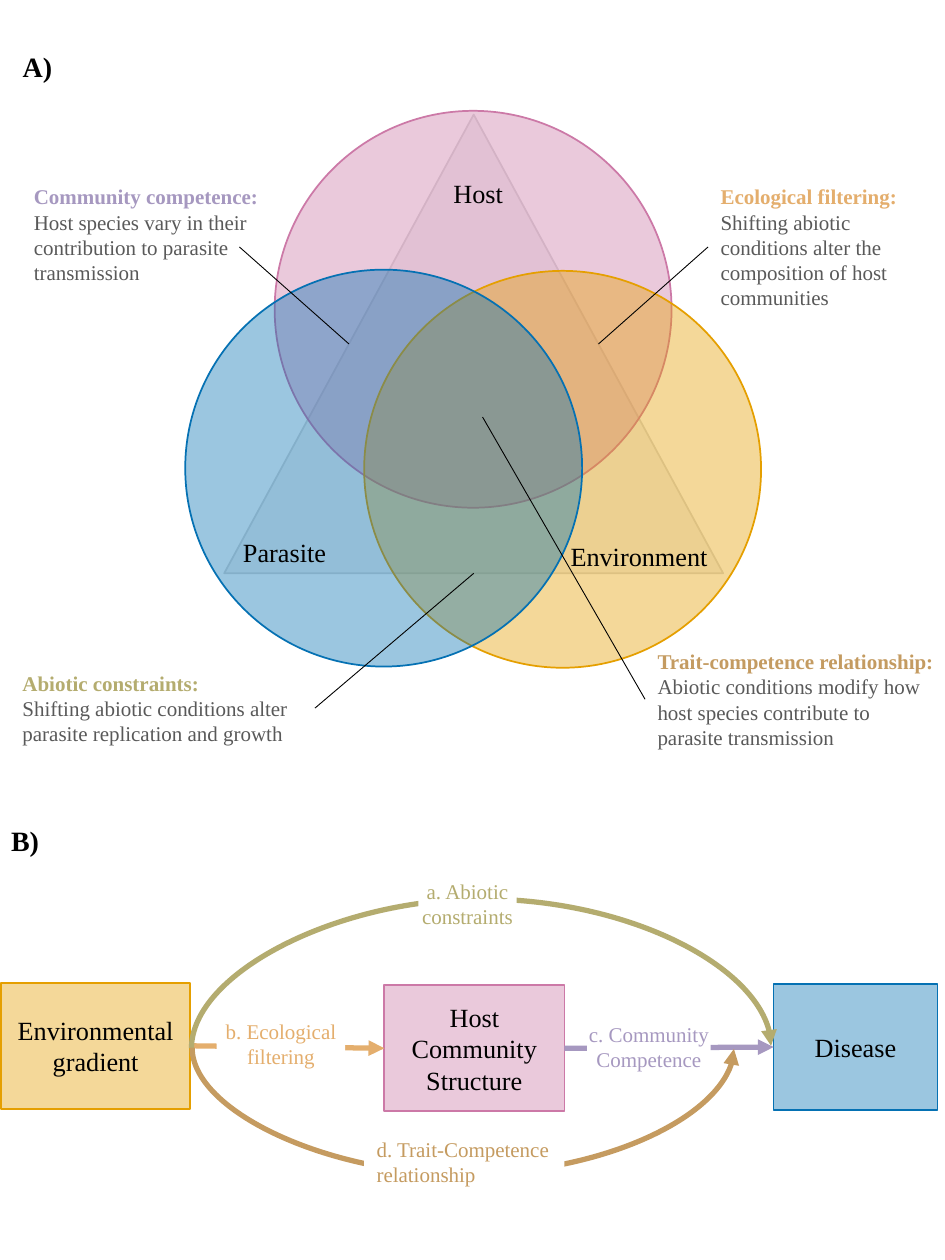
import pptx
import pptx.util
import pptx.dml.color
import pptx.enum.shapes
import pptx.enum.text
import pptx.oxml
import pptx.oxml.ns

Inches = pptx.util.Inches
SHAPES = pptx.enum.shapes.MSO_SHAPE
CONNECTORS = pptx.enum.shapes.MSO_CONNECTOR
ALIGN = pptx.enum.text.PP_ALIGN
ANCHOR = pptx.enum.text.MSO_ANCHOR
AUTO_SIZE = pptx.enum.text.MSO_AUTO_SIZE

FONT = "Times New Roman"
BLACK, GRAY, WHITE = "000000", "595959", "FFFFFF"
HOST, PARASITE, ENVIRONMENT = "CC79A7", "0571B3", "E59F00"
ABIOTIC, FILTERING, COMPETENCE = "B4AC6F", "E4AE6D", "A698C0"
TRAIT, TRAIT_ARC = "C49B61", "C59B60"


def rgb(color):
    return pptx.dml.color.RGBColor.from_string(color)


def add_xml(parent, tag, **attributes):
    child = pptx.oxml.parse_xml(f"<a:{tag} {pptx.oxml.ns.nsdecls('a')}/>")
    for key, value in attributes.items():
        child.set(key, str(value))
    parent.append(child)
    return child


def add_run(paragraph, text, size, color, bold=False):
    run = paragraph.add_run()
    run.text = text
    run.font.name = FONT
    run.font.size = pptx.util.Pt(size)
    run.font.bold = bold
    run.font.color.rgb = rgb(color)


def add_area(slide, kind, box, color, outline=None, opacity=100):
    area = slide.shapes.add_shape(kind, *map(Inches, box))
    area.shadow.inherit = False
    area.fill.solid()
    area.fill.fore_color.rgb = rgb(color)
    if opacity < 100:
        fill_color = area.fill._xPr.find(".//" + pptx.oxml.ns.qn("a:srgbClr"))
        add_xml(fill_color, "alpha", val=opacity * 1000)
    if outline:
        area.line.color.rgb = rgb(outline)
        area.line.width = pptx.util.Pt(1)
    else:
        area.line.fill.background()
    return area


def add_process(slide, box, color, text):
    process = add_area(slide, SHAPES.FLOWCHART_PROCESS, box, color, color, 40)
    frame = process.text_frame
    frame.word_wrap = True
    frame.vertical_anchor = ANCHOR.MIDDLE
    frame.paragraphs[0].alignment = ALIGN.CENTER
    add_run(frame.paragraphs[0], text, 15, BLACK)
    return process


def add_path_label(slide, box, color, text, side=0, align=ALIGN.CENTER):
    label = add_area(slide, SHAPES.RECTANGLE, box, WHITE)
    frame = label.text_frame
    frame.word_wrap = True
    frame.auto_size = AUTO_SIZE.SHAPE_TO_FIT_TEXT
    frame.vertical_anchor = ANCHOR.TOP
    frame.margin_left = frame.margin_right = Inches(side)
    frame.margin_top = 0
    frame.paragraphs[0].alignment = align
    add_run(frame.paragraphs[0], text, 12, color)


def add_text_box(slide, box, wrap=True):
    frame = slide.shapes.add_textbox(*map(Inches, box)).text_frame
    frame.word_wrap = wrap
    frame.auto_size = AUTO_SIZE.SHAPE_TO_FIT_TEXT
    return frame


def add_label(slide, box, text, size=15, bold=False, wrap=False):
    add_run(add_text_box(slide, box, wrap).paragraphs[0], text, size, BLACK, bold)


def add_callout(slide, box, color, heading, detail, inline=False):
    frame = add_text_box(slide, box)
    add_run(frame.paragraphs[0], heading, 12, color, True)
    paragraph = frame.paragraphs[0] if inline else frame.add_paragraph()
    add_run(paragraph, detail, 12, GRAY)


def add_line(slide, start, end, color, width, kind=CONNECTORS.STRAIGHT, arrow=False):
    line = slide.shapes.add_connector(kind, *map(Inches, start + end))
    line.line.color.rgb = rgb(color)
    line.line.width = pptx.util.Pt(width)
    if arrow:
        add_xml(line.line._get_or_add_ln(), "tailEnd", type="triangle")
    add_xml(line._element.spPr, "effectLst")
    return line


def add_flow(slide, source, target, color):
    flow = add_line(slide, (0, 0), (1, 1), color, 3, arrow=True)
    flow.begin_connect(source, 3)
    flow.end_connect(target, 1)


def add_arc(slide, start, end, rotation, reach, color):
    arc = add_line(slide, start, end, color, 3, CONNECTORS.CURVE, True)
    properties = arc._element.spPr
    properties.find(pptx.oxml.ns.qn("a:xfrm")).set("rot", str(rotation * 60000))
    bends = properties.find(".//" + pptx.oxml.ns.qn("a:avLst"))
    ratio = round(reach / abs(end[0] - start[0]) * 100000)
    add_xml(bends, "gd", name="adj1", fmla=f"val {ratio}")


def add_panel_title(slide, box, text):
    title = slide.shapes.title
    title.left, title.top, title.width, title.height = map(Inches, box)
    frame = title.text_frame
    frame.word_wrap = True
    frame.auto_size = AUTO_SIZE.NONE
    frame.vertical_anchor = ANCHOR.TOP
    frame.paragraphs[0].alignment = ALIGN.LEFT
    add_run(frame.paragraphs[0], text, 16, BLACK, True)


def build_pathways(slide):
    gradient = add_process(slide, (0.01, 7.8, 1.5, 1), ENVIRONMENT, "Environmental gradient")
    disease = add_process(slide, (6.14, 7.81, 1.3, 1), PARASITE, "Disease")
    community = add_process(slide, (3.05, 7.82, 1.43, 1), HOST, "Host Community Structure")
    add_flow(slide, community, disease, COMPETENCE)
    add_flow(slide, gradient, community, FILTERING)
    add_path_label(slide, (1.72, 8.08, 1.02, 0.46), FILTERING, "b. Ecological filtering")
    add_arc(slide, (3.83, 10.61), (3.81, 6.01), 90, 1.18, ABIOTIC)
    add_path_label(slide, (3.32, 6.97, 0.78, 0.46), ABIOTIC, "a. Abiotic constraints")
    add_path_label(slide, (4.66, 8.11, 0.98, 0.46), COMPETENCE, "c. Community Competence")
    add_arc(slide, (3.68, 6.17), (3.67, 10.47), 270, 1.02, TRAIT_ARC)
    add_path_label(slide, (2.89, 9.02, 1.59, 0.45), TRAIT_ARC,
                   "d. Trait-Competence relationship", 0.1, ALIGN.LEFT)
    add_label(slide, (-0.01, 6.49, 0.43, 0.37), "B)", 16, True)


def build_disease_triangle(slide):
    add_area(slide, SHAPES.ISOSCELES_TRIANGLE, (1.78, 0.91, 3.96, 3.64), "808080", "D9D9D9", 10)
    for left, top, color in ((2.18, 0.88, HOST), (2.89, 2.15, ENVIRONMENT),
                             (1.47, 2.14, PARASITE)):
        add_area(slide, SHAPES.OVAL, (left, top, 3.15, 3.15), color, color, 40)
    add_callout(slide, (5.62, 1.41, 1.72, 1.11), FILTERING, "Ecological filtering:",
                "Shifting abiotic conditions alter the composition of host communities")
    add_callout(slide, (0.08, 5.27, 2.42, 0.71), ABIOTIC, "Abiotic constraints:",
                "Shifting abiotic conditions alter parasite replication and growth")
    add_callout(slide, (0.17, 1.41, 2.27, 0.91), COMPETENCE, "Community competence:",
                "Host species vary in their contribution to parasite transmission")
    add_callout(slide, (5.12, 5.1, 2.42, 0.91), TRAIT, "Trait-competence relationship: ",
                "Abiotic conditions modify how host species contribute to parasite transmission",
                inline=True)
    for start, end in (((5.62, 1.96), (4.75, 2.73)), ((2.5, 5.62), (3.76, 4.55)),
                       ((2.77, 2.73), (1.9, 1.96)), ((5.12, 5.55), (3.83, 3.31))):
        add_line(slide, start, end, BLACK, 0.5)
    add_label(slide, (3.5, 1.36, 0.6, 0.35), "Host")
    add_label(slide, (4.43, 4.24, 1.3, 0.35), "Environment")
    add_label(slide, (1.83, 4.21, 1.21, 0.35), "Parasite", wrap=True)


def main():
    presentation = pptx.Presentation()
    presentation.slide_width = Inches(7.5)
    presentation.slide_height = Inches(10)
    slide = presentation.slides.add_slide(presentation.slide_layouts[5])
    add_panel_title(slide, (0.08, 0.34, 0.58, 0.37), "A)")
    build_disease_triangle(slide)
    build_pathways(slide)
    presentation.save("out.pptx")


if __name__ == "__main__":
    main()
